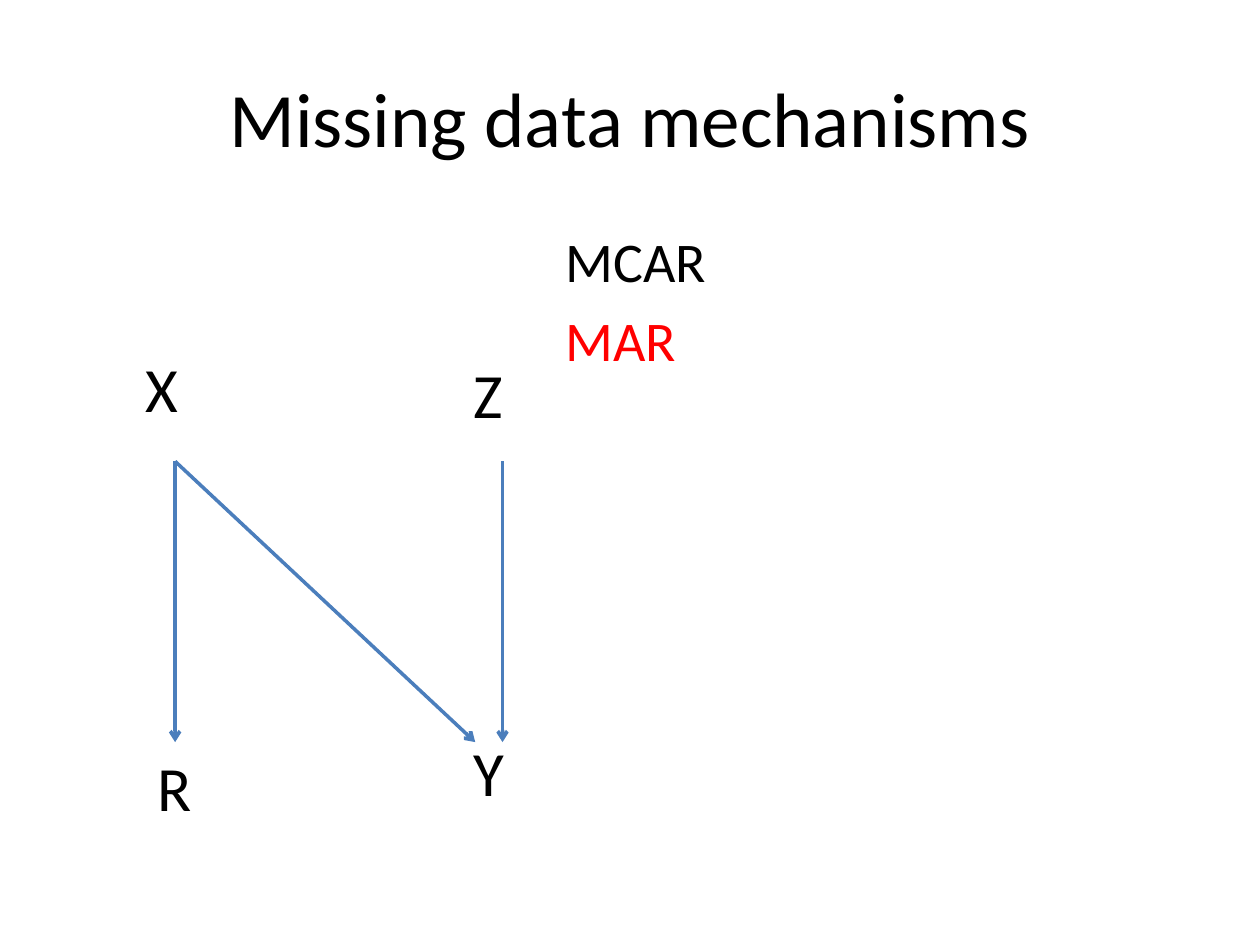
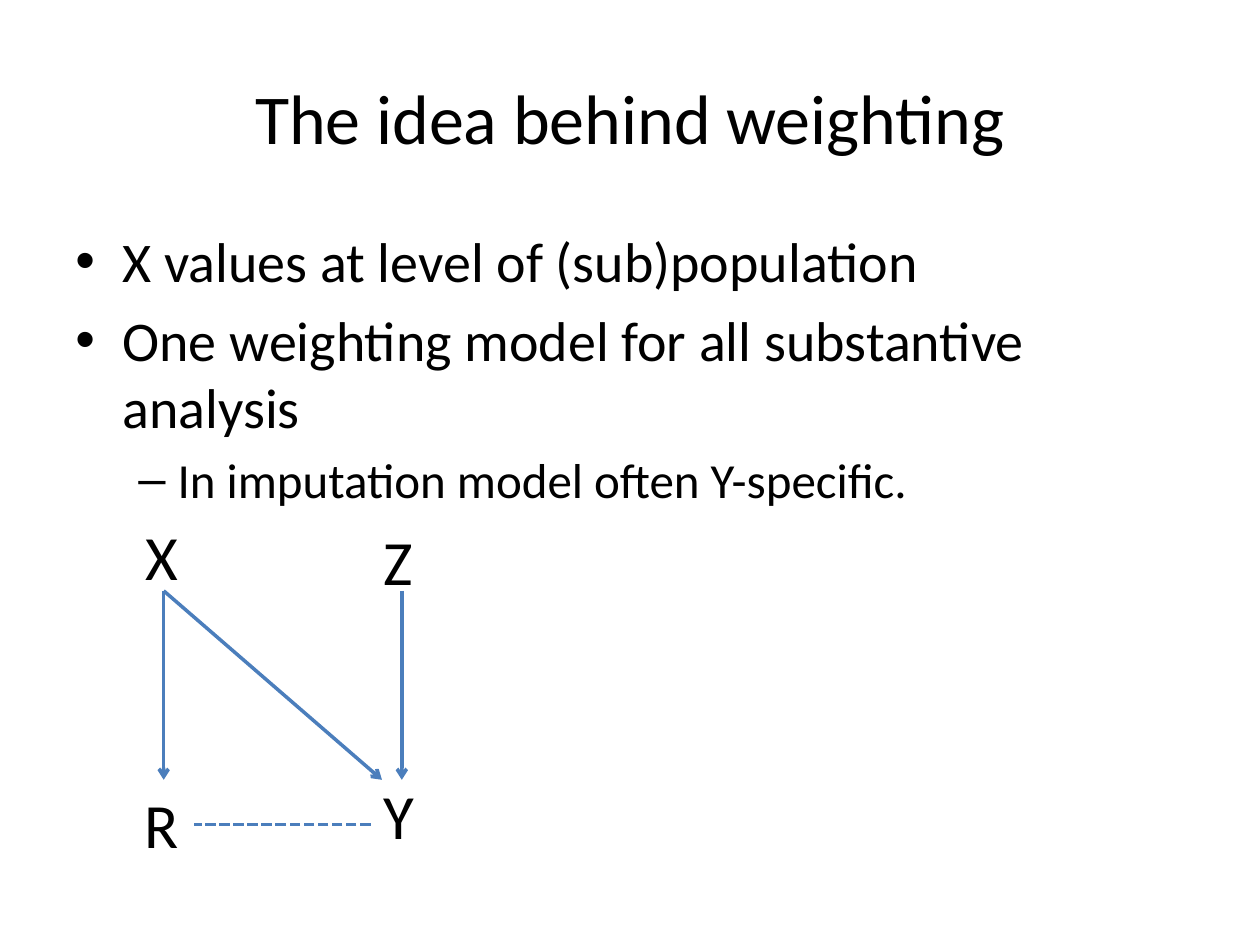
import pptx
import pptx.dml.color
import pptx.enum.dml
import pptx.enum.shapes
import pptx.enum.text
import pptx.oxml.ns
import pptx.util
from lxml import etree

Cm, Pt = pptx.util.Cm, pptx.util.Pt
qn = pptx.oxml.ns.qn

# Shared style
FONT = "Calibri"
BLACK, RED, BLUE = "000000", "FF0000", "4B7EBC"
NODE_SIZE = 36
BODY_TOP, BODY_HEIGHT = 4.45, 12.57
# Bullet, left margin and hanging indent (cm) for each outline level
BULLETS = [("•", 0.95, 0.95), ("–", 2.06, 0.79)]


def color(hex_string):
    return pptx.dml.color.RGBColor.from_string(hex_string)


def add_run(paragraph, text, size, hex_color=BLACK):
    run = paragraph.add_run()
    run.text = text
    run.font.name = FONT
    run.font.size = Pt(size)
    run.font.color.rgb = color(hex_color)


def add_titled_slide(deck, text, size):
    slide = deck.slides.add_slide(deck.slide_layouts[5])
    title = slide.shapes.title
    title.left, title.top = Cm(1.27), Cm(0.76)
    title.width, title.height = Cm(22.86), Cm(3.18)
    frame = title.text_frame
    frame.vertical_anchor = pptx.enum.text.MSO_ANCHOR.MIDDLE
    frame.paragraphs[0].alignment = pptx.enum.text.PP_ALIGN.CENTER
    add_run(frame.paragraphs[0], text, size)
    return slide


def add_text_box(shapes, left, top, width, height):
    box = shapes.add_textbox(Cm(left), Cm(top), Cm(width), Cm(height))
    box.text_frame.word_wrap = True
    return box


def set_bullet(paragraph, level):
    symbol, margin, hanging = BULLETS[level]
    paragraph.level = level
    properties = paragraph._p.get_or_add_pPr()
    properties.set("marL", str(Cm(margin)))
    properties.set("indent", str(-Cm(hanging)))
    etree.SubElement(properties, qn("a:buFont"), typeface="Arial")
    etree.SubElement(properties, qn("a:buChar"), char=symbol)


def add_body(slide, left, width, lines):
    """Each line is (text, size, colour, outline level or None)."""
    frame = add_text_box(slide.shapes, left, BODY_TOP, width, BODY_HEIGHT).text_frame
    for number, (text, size, hex_color, level) in enumerate(lines):
        paragraph = frame.add_paragraph() if number else frame.paragraphs[0]
        paragraph.space_before = Pt(0.2 * size)
        if level is not None:
            set_bullet(paragraph, level)
        add_run(paragraph, text, size, hex_color)


def add_node(shapes, letter, left, top, width=4.8, height=1.8):
    node = add_text_box(shapes, left, top, width, height)
    add_run(node.text_frame.paragraphs[0], letter, NODE_SIZE)
    return node


def add_line(shapes, start, end, arrow=True):
    line = shapes.add_connector(
        pptx.enum.shapes.MSO_CONNECTOR.STRAIGHT, *map(Cm, start + end))
    line.line.color.rgb = color(BLUE)
    line.line.width = Pt(2)
    if arrow:
        etree.SubElement(line.line._get_or_add_ln(), qn("a:tailEnd"), type="arrow")
    else:
        line.line.dash_style = pptx.enum.dml.MSO_LINE.SQUARE_DOT
    etree.SubElement(line._element.spPr, qn("a:effectLst"))
    return line


def add_causal_arrows(shapes, x_column, z_column, y_corner, top, bottom):
    """Arrows X to R, X to Y and Z to Y."""
    for start, end in [(x_column, x_column), (x_column, y_corner), (z_column, z_column)]:
        add_line(shapes, (start, top), (end, bottom))


def build_mechanisms(deck):
    slide = add_titled_slide(deck, "Missing data mechanisms", 44)
    add_body(slide, 11.15, 12.98, [("MCAR", 32, BLACK, None), ("MAR", 32, RED, None)])

    # Causal diagram
    add_node(slide.shapes, "R", 2.92, 14.96)
    diagram = slide.shapes.add_group_shape().shapes
    for letter, left, top in [("X", 2.69, 6.93), ("Y", 9.3, 14.66), ("Z", 9.3, 7.04)]:
        add_node(diagram, letter, left, top, 6.6, 2.67)
    add_causal_arrows(diagram, 3.53, 10.13, 9.58, 9.3, 14.96)


def build_weighting(deck):
    slide = add_titled_slide(deck, "The idea behind weighting", 40)
    add_body(slide, 1.27, 22.86, [
        ("X values at level of (sub)population", 32, BLACK, 0),
        ("One weighting model for all substantive analysis", 32, BLACK, 0),
        ("In imputation model often Y-specific.", 28, BLACK, 1),
    ])

    # Causal diagram
    diagram = slide.shapes.add_group_shape().shapes
    for letter, left, top in [("X", 2.69, 10.31), ("Y", 7.49, 15.52), ("Z", 7.49, 10.41)]:
        add_node(diagram, letter, left, top)
    add_causal_arrows(diagram, 3.3, 8.1, 7.7, 11.91, 15.72)

    # Dashed link between R and Y
    response = add_node(diagram, "R", 2.67, 15.72)
    link = add_line(diagram, (7.47, 16.62), (3.91, 16.62), arrow=False)
    link.begin_connect(response, 3)


def main():
    deck = pptx.Presentation()
    deck.slide_width, deck.slide_height = Cm(25.4), Cm(19.05)
    build_mechanisms(deck)
    build_weighting(deck)
    deck.save("out.pptx")


if __name__ == "__main__":
    main()
